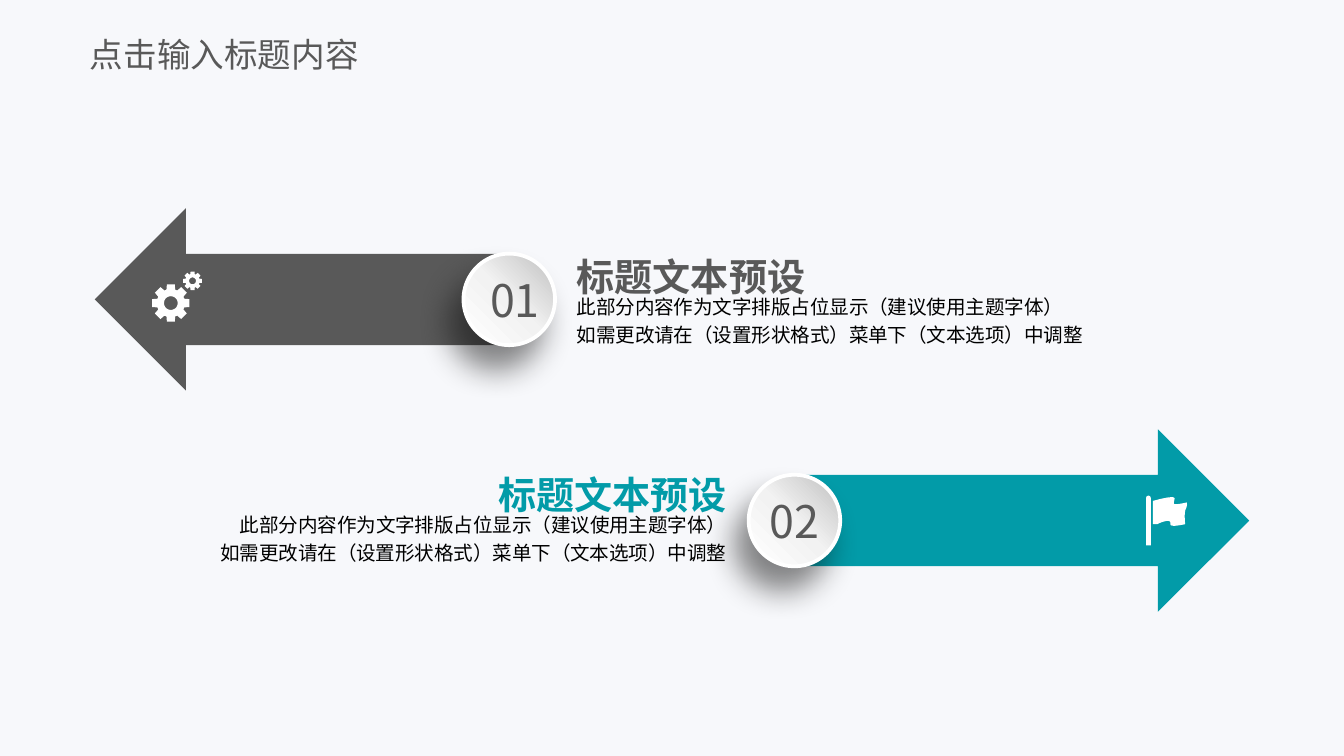
from copy import deepcopy
from dataclasses import dataclass
from math import cos, radians, sin

from pptx import Presentation
from pptx.dml.color import RGBColor
from pptx.enum.shapes import MSO_SHAPE
from pptx.enum.text import MSO_ANCHOR, PP_ALIGN
from pptx.oxml import parse_xml
from pptx.oxml.ns import nsdecls, qn
from pptx.oxml.xmlchemy import OxmlElement
from pptx.shapes.autoshape import Shape
from pptx.slide import Slide
from pptx.text.text import TextFrame
from pptx.util import Cm, Pt

ARROW = MSO_SHAPE.RIGHT_ARROW
OVAL = MSO_SHAPE.OVAL
RECTANGLE = MSO_SHAPE.RECTANGLE
ROUND_TOP = MSO_SHAPE.ROUND_2_SAME_RECTANGLE
MIDDLE, TOP = MSO_ANCHOR.MIDDLE, MSO_ANCHOR.TOP
LEFT, CENTER, RIGHT = PP_ALIGN.LEFT, PP_ALIGN.CENTER, PP_ALIGN.RIGHT

Point = tuple[float, float]


@dataclass(frozen=True)
class Theme:
    font: str = "Noto Sans CJK SC"
    background: str = "F7F8FB"
    gray: str = "595959"
    teal: str = "029BA8"
    white: str = "FFFFFF"
    black: str = "000000"
    shadow: str = "0D0D0D"
    badge_stops: tuple[str, ...] = ("BFBFBF", "F2F2F2", "FFFFFF")
    page_title: float = 18
    number: float = 24
    heading: float = 20.4
    body: float = 10.5


@dataclass(frozen=True)
class Item:
    number: str
    color: str
    center_y: float
    arrow_left: float
    arrow_width: float
    rotation: int
    badge_left: float
    number_align: PP_ALIGN
    text_top: float
    text_align: PP_ALIGN


THEME = Theme()
ARROW_HEIGHT = 3.45
BADGE = 1.73
HEADING_SIZE = (5.2, 0.69)
BODY_SIZE = (11.48, 1.14)
HEADING = "标题文本预设"
BODY = "此部分内容作为文字排版占位显示（建议使用主题字体）\v如需更改请在（设置形状格式）菜单下（文本选项）中调整"

ITEMS = (
    Item("02", THEME.teal, 9.84, 14.92, 8.69, 0, 14.15, CENTER, 8.92, RIGHT),
    Item("01", THEME.gray, 5.66, 1.79, 7.8, 180, 8.76, LEFT, 4.8, LEFT),
)

FLAG_START = (22.43, 9.5)
FLAG_CURVES = (
    ((22.28, 9.53), (22.28, 9.53), (22.2, 9.53)),
    ((22.17, 9.53), (22.2, 9.45), (22.2, 9.42)),
    ((22.2, 9.35), (21.79, 9.47), (21.79, 9.47)),
    ((21.79, 9.91),),
    ((21.79, 9.91), (21.84, 9.91), (21.87, 9.91)),
    ((21.97, 9.86), (22.15, 9.8), (22.12, 9.91)),
    ((22.1, 9.98), (22.4, 9.91), (22.4, 9.91)),
    ((22.4, 9.91), (22.38, 9.75), (22.4, 9.65)),
    ((22.45, 9.55), (22.43, 9.5), (22.43, 9.5)),
)


def style_text(frame: TextFrame, text: str, size: float, color: str,
               align: PP_ALIGN, anchor: MSO_ANCHOR, wrap: bool,
               bold: bool = False, spacing: float = 1.0) -> None:
    frame.text = text
    frame.word_wrap = wrap
    frame.vertical_anchor = anchor
    para = frame.paragraphs[0]
    para.alignment = align
    para.line_spacing = spacing
    for span in para.runs:
        span.font.name = THEME.font
        span.font.size = Pt(size)
        span.font.bold = bold
        span.font.color.rgb = RGBColor.from_string(color)
        east_asian = OxmlElement("a:ea")
        east_asian.set("typeface", THEME.font)
        span.font._element.append(east_asian)


def add_text(page: Slide, left: float, top: float, size: tuple[float, float],
             inset_x: float, inset_y: float) -> TextFrame:
    box = page.shapes.add_textbox(Cm(left), Cm(top), Cm(size[0]), Cm(size[1]))
    frame = box.text_frame
    frame.margin_left = frame.margin_right = Cm(inset_x)
    frame.margin_top = frame.margin_bottom = Cm(inset_y)
    return frame


def paint(shape: Shape, color: str) -> None:
    shape.shadow.inherit = False
    shape.fill.solid()
    shape.fill.fore_color.rgb = RGBColor.from_string(color)
    shape.line.fill.background()


def add_outline(page: Slide, contours: list[list[Point]]) -> None:
    contours_emu = [[(Cm(x), Cm(y)) for x, y in points] for points in contours]
    builder = page.shapes.build_freeform(*contours_emu[0][0])
    builder.add_line_segments(contours_emu[0][1:])
    for points in contours_emu[1:]:
        builder.move_to(*points[0])
        builder.add_line_segments(points[1:])
    paint(builder.convert_to_shape(), THEME.white)


def add_gear(page: Slide, x: float, y: float, radius: float) -> None:
    def polar(angle: float, ratio: float) -> Point:
        turn = radians(angle)
        return x + radius * ratio * cos(turn), y + radius * ratio * sin(turn)

    tooth = ((-18, 0.74), (-12, 1), (12, 1), (18, 0.74))
    rim = [polar(45 * index + angle, ratio) for index in range(8) for angle, ratio in tooth]
    hole = [polar(-angle, 0.36) for angle in range(0, 360, 10)]
    add_outline(page, [rim, hole])


def add_flag(page: Slide) -> None:
    points = [FLAG_START]
    for curve in FLAG_CURVES:
        if len(curve) == 1:
            points.append(curve[0])
            continue
        nodes = (points[-1], *curve)
        for step in range(1, 9):
            t = step / 8
            weights = ((1 - t) ** 3, 3 * t * (1 - t) ** 2, 3 * t * t * (1 - t), t ** 3)
            points.append(tuple(sum(weight * node[axis] for weight, node in zip(weights, nodes))
                                for axis in (0, 1)))
    add_outline(page, [points])
    pole = page.shapes.add_shape(ROUND_TOP, Cm(21.66), Cm(9.37), Cm(0.09), Cm(0.94))
    pole.adjustments[0] = 0.5
    paint(pole, THEME.white)


def add_badge(page: Slide, item: Item) -> None:
    badge = page.shapes.add_shape(OVAL, Cm(item.badge_left), Cm(item.center_y - BADGE / 2),
                                  Cm(BADGE), Cm(BADGE))
    badge.fill.gradient()
    badge.fill.gradient_angle = 225
    properties = badge._element.spPr
    stop_list = properties.find(".//" + qn("a:gsLst"))
    stop_list.append(deepcopy(stop_list[-1]))
    for index, (stop, color) in enumerate(zip(badge.fill.gradient_stops, THEME.badge_stops)):
        stop.position = index / 2
        stop.color.rgb = RGBColor.from_string(color)
    badge.line.color.rgb = RGBColor.from_string(THEME.white)
    badge.line.width = Pt(2)
    badge.shadow.inherit = False
    properties.find(qn("a:effectLst")).append(parse_xml(
        f'<a:outerShdw {nsdecls("a")} blurRad="{Pt(17)}" dist="{Pt(14)}" dir="{120 * 60000}" '
        f'algn="ctr" rotWithShape="0"><a:srgbClr val="{THEME.shadow}">'
        f'<a:alpha val="50000"/></a:srgbClr></a:outerShdw>'))
    style_text(badge.text_frame, item.number, THEME.number, THEME.gray,
               item.number_align, MIDDLE, False)


def add_item(page: Slide, item: Item) -> None:
    arrow = page.shapes.add_shape(ARROW, Cm(item.arrow_left), Cm(item.center_y - ARROW_HEIGHT / 2),
                                  Cm(item.arrow_width), Cm(ARROW_HEIGHT))
    arrow.rotation = item.rotation
    paint(arrow, item.color)
    add_badge(page, item)

    def text_left(width: float) -> float:
        return item.badge_left - width if item.text_align == RIGHT else item.badge_left + BADGE

    heading = add_text(page, text_left(HEADING_SIZE[0]), item.text_top, HEADING_SIZE, 0.41, 0)
    style_text(heading, HEADING, THEME.heading, item.color, item.text_align, TOP, False, bold=True)
    body = add_text(page, text_left(BODY_SIZE[0]), item.text_top + HEADING_SIZE[1],
                    BODY_SIZE, 0.41, 0)
    style_text(body, BODY, THEME.body, THEME.black, item.text_align, TOP, True, spacing=1.2)


def main() -> None:
    deck = Presentation()
    deck.slide_width, deck.slide_height = Cm(25.4), Cm(14.29)
    page = deck.slides.add_slide(deck.slide_layouts[6])
    backdrop = page.shapes.add_shape(RECTANGLE, 0, 0, deck.slide_width, deck.slide_height)
    paint(backdrop, THEME.background)
    for item in ITEMS:
        add_item(page, item)
    add_flag(page)
    add_gear(page, 3.64, 5.31, 0.18)
    add_gear(page, 3.23, 5.73, 0.36)
    title = add_text(page, 1.7, 0.48, (5.92, 1.07), 0, 0.13)
    style_text(title, "点击输入标题内容", THEME.page_title, THEME.gray, LEFT, MIDDLE, True)
    deck.save("out.pptx")


if __name__ == "__main__":
    main()
